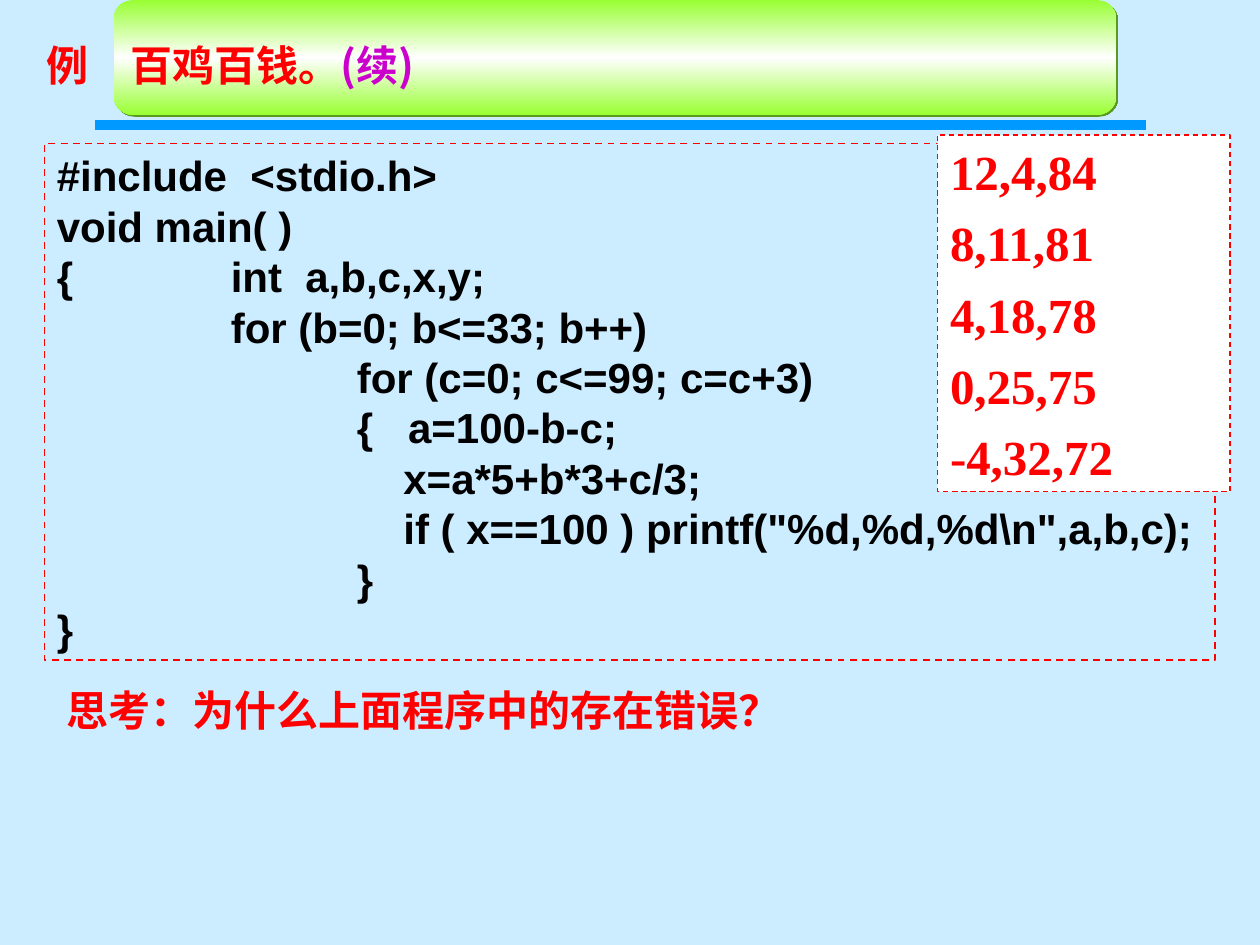
from dataclasses import dataclass

from lxml.etree import SubElement
from pptx import Presentation
from pptx.dml.color import RGBColor
from pptx.enum.dml import MSO_LINE
from pptx.enum.shapes import MSO_CONNECTOR, MSO_SHAPE
from pptx.enum.text import MSO_ANCHOR, MSO_AUTO_SIZE, PP_ALIGN
from pptx.oxml.ns import qn
from pptx.util import Pt

RED, PURPLE, BLACK, WHITE = "FF0000", "CC00CC", "000000", "FFFFFF"
SKY, BLUE, LIME, OLIVE = "CCECFF", "0099FF", "99FF33", "5C991F"
CJK = "Noto Sans CJK SC"

CODE = r"""#include  <stdio.h>
void main( )
{		int  a,b,c,x,y;
		for (b=0; b<=33; b++)
			for (c=0; c<=99; c=c+3)
			{   a=100-b-c;
			    x=a*5+b*3+c/3;
			    if ( x==100 ) printf("%d,%d,%d\n",a,b,c);
			}
}"""
OUTPUT = "12,4,84\n8,11,81\n4,18,78\n0,25,75\n-4,32,72"


@dataclass
class Box:
    left: float
    top: float
    width: float
    height: float

    def points(self) -> list:
        return [Pt(v) for v in (self.left, self.top, self.width, self.height)]


def rgb(value: str) -> RGBColor:
    return RGBColor.from_string(value)


def add_run(p, text: str, *, size=24, font=CJK, color=RED):
    r = p.add_run()
    r.text = text
    r.font.size, r.font.bold, r.font.name = Pt(size), True, font
    r.font.color.rgb = rgb(color)
    SubElement(r.font._element, qn("a:ea"), typeface=font)


def set_text(sp, text: str, *, spacing=None, before=0, hanging=0, inset_top=3.6, **fmt):
    """Fill a shape with one paragraph per line of text."""
    tf = sp.text_frame
    tf.word_wrap, tf.auto_size = True, MSO_AUTO_SIZE.NONE
    tf.vertical_anchor = MSO_ANCHOR.TOP
    tf.margin_left = tf.margin_right = Pt(7.2)
    tf.margin_top, tf.margin_bottom = Pt(inset_top), Pt(3.6)
    for i, line in enumerate(text.split("\n")):
        p = tf.add_paragraph() if i else tf.paragraphs[0]
        p.alignment = PP_ALIGN.LEFT
        p.space_before = Pt(before if i else 0)
        if spacing:
            p.line_spacing = spacing
        if hanging:
            pPr = p._p.get_or_add_pPr()
            pPr.set("marL", str(Pt(hanging)))
            pPr.set("indent", str(-Pt(hanging)))
            pPr.set("defTabSz", str(Pt(72)))
            tabs = SubElement(pPr, qn("a:tabLst"))
            for n in range(8):
                SubElement(tabs, qn("a:tab"), pos=str(Pt(72 * n)), algn="l")
        add_run(p, line, **fmt)


def add_dashed_box(s, box: Box, line_width: float, fill=None):
    sp = s.shapes.add_shape(MSO_SHAPE.RECTANGLE, *box.points())
    sp.shadow.inherit = False
    if fill:
        sp.fill.solid()
        sp.fill.fore_color.rgb = rgb(fill)
    else:
        sp.fill.background()
    sp.line.color.rgb = rgb(RED)
    sp.line.width, sp.line.dash_style = Pt(line_width), MSO_LINE.DASH
    return sp


def add_rule(s, x1: float, x2: float, y: float):
    line = s.shapes.add_connector(MSO_CONNECTOR.STRAIGHT, Pt(x1), Pt(y), Pt(x2), Pt(y))
    line.line.color.rgb, line.line.width = rgb(BLUE), Pt(6)
    SubElement(line._element.spPr, qn("a:effectLst"))


def add_banner(s, box: Box):
    sp = s.shapes.add_shape(MSO_SHAPE.ROUNDED_RECTANGLE, *box.points())
    sp.adjustments[0] = 0.17
    sp.line.fill.background()
    sp.fill.gradient()
    sp.fill.gradient_angle = 90
    stops = sp._element.spPr.find(".//" + qn("a:gsLst"))
    stops.clear()
    for percent, color in ((0, LIME), (50, WHITE), (100, LIME)):
        stop = SubElement(stops, qn("a:gs"), pos=str(percent * 1000))
        SubElement(stop, qn("a:srgbClr"), val=color)
    sp.shadow.inherit = False
    effects = sp._element.spPr.find(qn("a:effectLst"))
    shadow = SubElement(effects, qn("a:outerShdw"), dist=str(Pt(1.4)),
                        dir=str(45 * 60000), algn="tl", rotWithShape="0")
    SubElement(shadow, qn("a:srgbClr"), val=OLIVE)


def main():
    prs = Presentation()
    prs.slide_width, prs.slide_height = Pt(720), Pt(540)
    s = prs.slides.add_slide(prs.slide_layouts[5])
    s.background.fill.solid()
    s.background.fill.fore_color.rgb = rgb(SKY)

    # Header band and rule
    add_rule(s, 54, 655, 71.5)
    add_banner(s, Box(65, 0, 573, 65.8))

    # Title, brought in front of the band
    title = s.shapes.title
    title.left, title.top, title.width, title.height = Box(19.5, 14.8, 680, 40.3).points()
    set_text(title, "例　百鸡百钱。", spacing=1.15)
    add_run(title.text_frame.paragraphs[0], "(续)", color=PURPLE)
    title.element.getparent().append(title.element)

    # Program
    code = add_dashed_box(s, Box(25.4, 82.1, 669, 295.2), 1)
    set_text(code, CODE, spacing=Pt(28.8), hanging=27.4, font="Arial", color=BLACK)

    # Question
    question = s.shapes.add_textbox(*Box(31, 383.4, 644, 40.3).points())
    set_text(question, "思考：为什么上面程序中的存在错误？", spacing=1.15)

    # Program output
    output = add_dashed_box(s, Box(535.8, 77.2, 167.2, 203.8), 0.75, WHITE)
    set_text(output, OUTPUT, before=7, inset_top=3.9, size=28, font="Times New Roman")

    prs.save("out.pptx")


if __name__ == "__main__":
    main()
